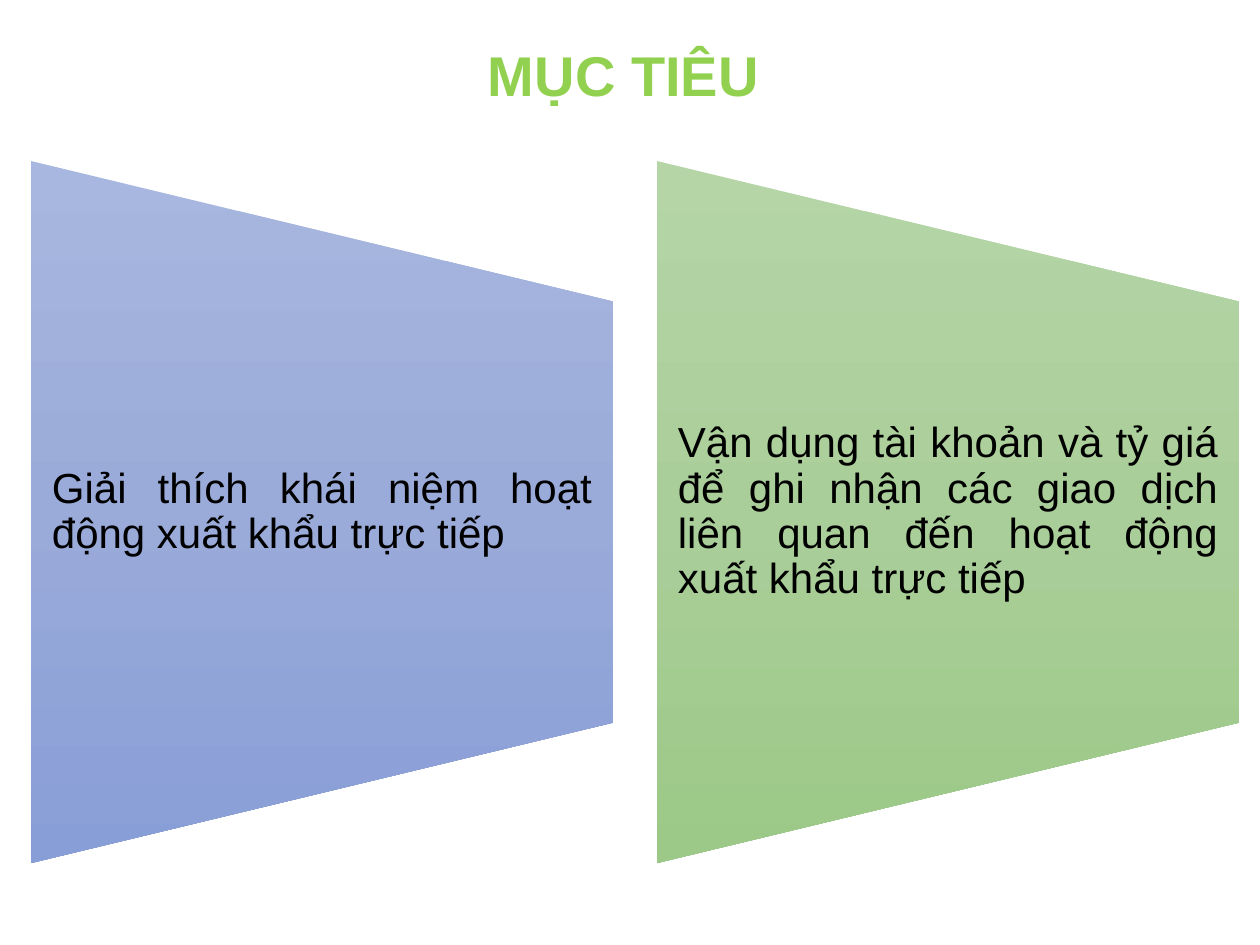
from lxml import etree
from pptx import Presentation
from pptx.dml.color import RGBColor
from pptx.enum.shapes import MSO_SHAPE
from pptx.enum.text import MSO_ANCHOR, MSO_AUTO_SIZE, PP_ALIGN
from pptx.oxml.ns import qn
from pptx.util import Pt

PX = 914400 // 126
FONT = "Arial"
MIDDLE = MSO_ANCHOR.MIDDLE
CENTER = PP_ALIGN.CENTER
JUSTIFY = PP_ALIGN.JUSTIFY
FIT_SHAPE = MSO_AUTO_SIZE.SHAPE_TO_FIT_TEXT
TRAPEZOID = MSO_SHAPE.FLOWCHART_MANUAL_OPERATION

BLACK = RGBColor(0x00, 0x00, 0x00)
LIME = RGBColor(0x92, 0xD0, 0x50)
BLUES = (RGBColor(0xA8, 0xB7, 0xDF), RGBColor(0x9A, 0xAB, 0xD9), RGBColor(0x88, 0x9E, 0xD7))
GREENS = (RGBColor(0xB5, 0xD5, 0xA7), RGBColor(0xAA, 0xCE, 0x9A), RGBColor(0x9C, 0xC9, 0x87))

GOALS = [
    ("Giải thích khái niệm hoạt động xuất khẩu trực tiếp", BLUES),
    ("Vận dụng tài khoản và tỷ giá để ghi nhận các giao dịch "
     "liên quan đến hoạt động xuất khẩu trực tiếp", GREENS),
]


def scaled(*lengths):
    return [length * PX for length in lengths]


def fill_downward(shape, colors):
    shape.fill.gradient()
    shape.fill.gradient_angle = 270
    gradient = shape.fill._xPr.find(qn("a:gradFill"))
    gradient.set("rotWithShape", "0")
    stops = gradient.find(qn("a:gsLst"))
    for stop in list(stops):
        stops.remove(stop)
    for index, color in enumerate(colors):
        stop = etree.SubElement(stops, qn("a:gs"), pos=str(index * 50000))
        etree.SubElement(stop, qn("a:srgbClr"), val=str(color))


def add_text(page, box, text, size, color, align, bold=False):
    text_box = page.shapes.add_textbox(*scaled(*box))
    frame = text_box.text_frame
    frame.vertical_anchor = MIDDLE
    frame.text = text
    para = frame.paragraphs[0]
    para.alignment = align
    font = para.runs[0].font
    font.name = FONT
    font.size = Pt(size)
    font.bold = bold
    font.color.rgb = color
    return frame


def add_title(page, box):
    frame = add_text(page, box, "MỤC TIÊU", 32, LIME, CENTER, bold=True)
    frame.word_wrap = False
    frame.auto_size = FIT_SHAPE


def add_goal(page, box, text, colors):
    left, top, width, height = box
    turn = (height - width) // 2
    panel = page.shapes.add_shape(TRAPEZOID, *scaled(left - turn, top + turn, height, width))
    panel.rotation = 270
    panel.shadow.inherit = False
    panel.line.fill.background()
    fill_downward(panel, colors)

    inset = height // 5
    text_area = (left, top + inset, width, height - 2 * inset)
    frame = add_text(page, text_area, text, 24, BLACK, JUSTIFY)
    frame.word_wrap = True
    frame.margin_left = frame.margin_right = 21 * PX
    frame.margin_top = frame.margin_bottom = 0
    frame.paragraphs[0].line_spacing = 0.9


def main():
    deck = Presentation()
    deck.slide_width, deck.slide_height = scaled(1260, 945)
    page = deck.slides.add_slide(deck.slide_layouts[6])
    for column, (text, colors) in enumerate(GOALS):
        add_goal(page, (31 + column * 626, 161, 582, 702), text, colors)
    add_title(page, (474, 34, 299, 81))
    deck.save("out.pptx")


if __name__ == "__main__":
    main()
